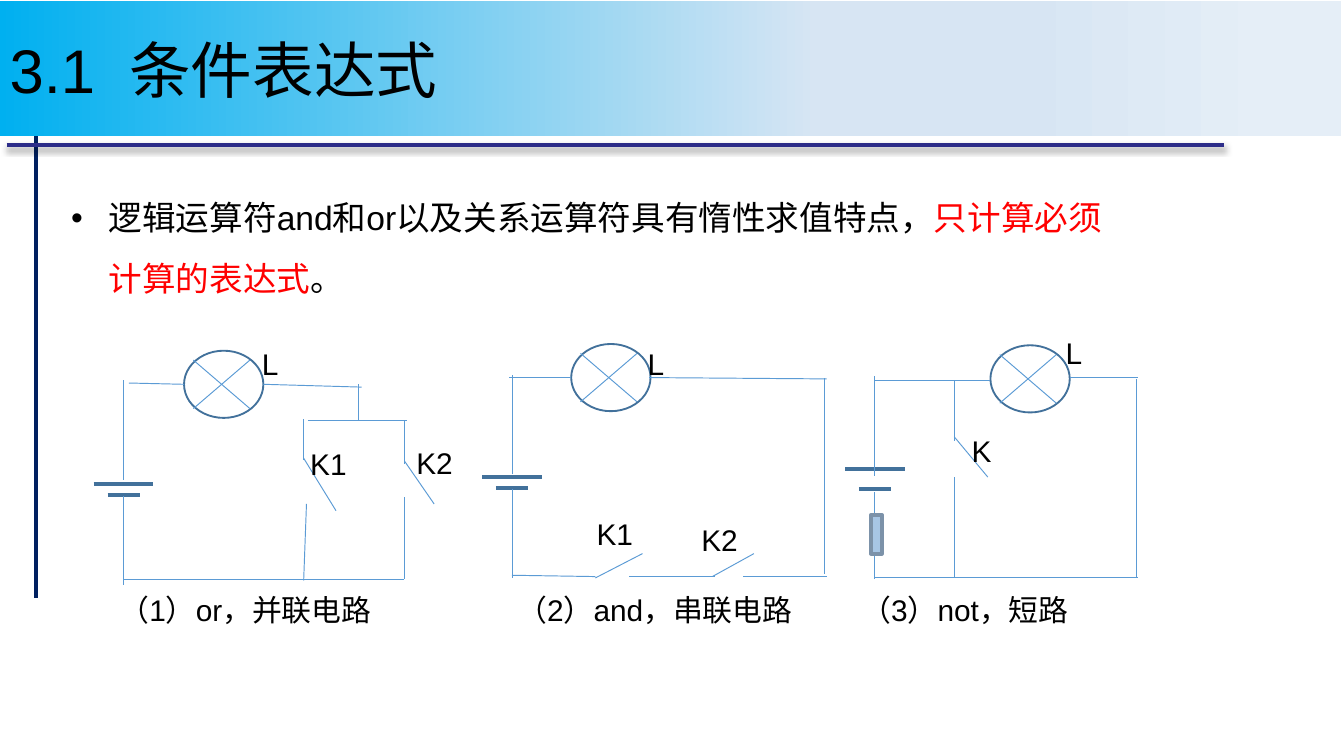
from lxml import etree
from pptx import Presentation
from pptx import util as u
from pptx.dml.color import RGBColor
from pptx.enum import shapes, text
from pptx.oxml import ns

Pt = u.Pt
HUES = {"black": "000000", "red": "FF0000", "navy": "002060", "rule": "2D2D89",
        "wire": "5B9BD5", "dark": "42719B", "box": "A7C6E5", "edge": "7C92A9",
        "sky": "00B0F0", "pale": "D7E5F3", "mist": "E5EEF7"}

deck = Presentation()
deck.slide_width, deck.slide_height = Pt(720), Pt(405)
slide = deck.slides.add_slide(deck.slide_layouts[6])
items = slide.shapes


def line(x1, y1, x2, y2, hue="wire", width=0.5):
    """Draw a straight line without a shadow and return it."""
    rule = items.add_connector(shapes.MSO_CONNECTOR.STRAIGHT, Pt(x1), Pt(y1), Pt(x2), Pt(y2))
    rule.line.color.rgb = RGBColor.from_string(HUES[hue])
    rule.line.width = Pt(width)
    etree.SubElement(rule._element.spPr, ns.qn("a:effectLst"))
    return rule


def write(shape, runs, size, inset=(7.2, 3.6), anchor=text.MSO_ANCHOR.TOP):
    """Put (words, hue) runs in a shape and return the paragraph."""
    frame = shape.text_frame
    form = {"word_wrap": True, "vertical_anchor": anchor,
            "margin_left": Pt(inset[0]), "margin_right": Pt(inset[0]),
            "margin_top": Pt(inset[1]), "margin_bottom": Pt(inset[1])}
    for key, val in form.items():
        setattr(frame, key, val)
    para = frame.paragraphs[0]
    para.alignment = text.PP_ALIGN.LEFT
    for words, hue in runs:
        run = para.add_run()
        run.text = words
        for key, val in {"name": "Arial", "size": Pt(size)}.items():
            setattr(run.font, key, val)
        run.font.color.rgb = RGBColor.from_string(HUES[hue])
    return para


# Frame rules
line(19.4, 58.3, 19.4, 320.4, "navy", 2.25)
rule = line(3.6, 77.8, 655.9, 77.8, "rule", 2.25)
glow = etree.SubElement(rule._element.spPr.find(ns.qn("a:effectLst")), ns.qn("a:outerShdw"),
                        blurRad=str(Pt(3.1)), dist=str(Pt(1.8)), dir="5400000", rotWithShape="0")
tint = etree.SubElement(glow, ns.qn("a:srgbClr"), val=HUES["black"])
etree.SubElement(tint, ns.qn("a:alpha"), val="35000")

# Body
body = items.add_textbox(Pt(31), Pt(91.4), Pt(571.7), Pt(267))
para = write(body, [("逻辑运算符and和or以及关系运算符具有惰性求值特点，", "black"),
                    ("只计算必须计算的表达式", "red"), ("。", "black")], 18)
para.line_spacing = 1.5
props = para._p.get_or_add_pPr()
props.set("marL", str(Pt(20.2)))
props.set("indent", str(Pt(-20.2)))
etree.SubElement(props, ns.qn("a:buFont"), typeface="Arial")
etree.SubElement(props, ns.qn("a:buChar"), char="•")

# Title band
band = items.add_shape(shapes.MSO_SHAPE.RECTANGLE, Pt(-0.7), Pt(0.7), Pt(719.3), Pt(72))
band.shadow.inherit = False
band.line.fill.background()
band.fill.gradient()
band.fill.gradient_angle = 180
stops = band.fill._fill._gradFill.find(ns.qn("a:gsLst"))
for stop in list(stops):
    stops.remove(stop)
for pos, hue in [(5, "mist"), (24, "pale"), (39, "pale"), (100, "sky")]:
    stop = etree.SubElement(stops, ns.qn("a:gs"), pos=str(pos * 1000))
    etree.SubElement(stop, ns.qn("a:srgbClr"), val=HUES[hue])
write(band, [("3.1  条件表达式", "black")], 33, (5.8, 2.9), text.MSO_ANCHOR.MIDDLE)

# Batteries: centre, both plates, then the ends of the upper and lower lead
for mid, long, short, top, high, low, end in [
        (66.2, 259.2, 265, 203.8, 257, 265.7, 313.2),
        (274.3, 255.6, 261.4, 200.9, 254.2, 262.1, 309.6),
        (468.7, 251.3, 262.1, 201.6, 254.9, 263.5, 310.3)]:
    for half, y in [(16, long), (8.6, short)]:
        line(mid - half, y, mid + half, y, "dark", 2.25)
    line(mid, high, mid, top)
    line(mid, low, mid, end)

# Lamps
for x, y in [(98.6, 187.9), (306, 184.3), (530.6, 185)]:
    lamp = items.add_shape(shapes.MSO_SHAPE.OVAL, Pt(x), Pt(y), Pt(42.5), Pt(36))
    lamp.shadow.inherit = False
    lamp.fill.background()
    lamp.line.color.rgb = RGBColor.from_string(HUES["dark"])
    lamp.line.width = Pt(1)
    line(x + 5, y + 5, x + 35.3, y + 31)
    line(x + 35.3, y + 5, x + 5, y + 31)

# Wires and switches
loops = {
    "or": [(69.1, 205.2, 98.6, 205.9), (141.1, 205.9, 193.7, 207.4),
           (192.2, 205.9, 192.2, 225.4), (164.9, 225.4, 218.2, 225.4),
           (162.7, 224.6, 162.7, 246.2), (216.7, 225.4, 216.7, 248.4),
           (162.7, 245.5, 180, 273.6), (216.7, 247, 232.6, 270),
           (164.2, 270, 162.7, 311), (216.7, 266.4, 216.7, 310.3),
           (66.2, 310.3, 216.7, 310.3)],
    "and": [(272.9, 202.3, 306, 202.3), (347.8, 202.3, 442.8, 203),
            (274.3, 308.2, 319, 308.9), (319, 309.6, 344.2, 296.6),
            (337, 308.9, 383, 308.9), (381.6, 308.9, 403.9, 296.6),
            (398.2, 308.9, 442.8, 308.9), (441.7, 307.4, 441.7, 202.3)],
    "not": [(468.7, 203.8, 530.6, 203.8), (573.1, 202.3, 609.8, 202.3),
            (468.7, 309.6, 609.8, 309.6), (609.1, 308.9, 609.1, 203),
            (511.2, 203.8, 511.2, 236.2), (511.2, 255.6, 511.2, 309.6),
            (511.2, 234, 529.2, 255.6)],
}
for wires in loops.values():
    for ends in wires:
        line(*ends)

# Labels, grouped by box size and inset
for wide, tall, inset, marks in [
        (34.6, 18, (7.2, 0), [("L", 133.2, 185), ("L", 339.8, 185), ("L", 563.8, 179.3)]),
        (42.5, 27.4, (7.2, 3.6), [("K1", 159.1, 235.4), ("K2", 216, 234.7), ("K1", 312.5, 272.9),
                                  ("K2", 368.6, 275.8), ("K", 513.4, 228.2)]),
        (159.1, 20.9, (0, 0), [("（1）or，并联电路", 64.1, 316.8),
                               ("（2）and，串联电路", 277.2, 316.8)]),
        (139, 20.9, (0, 0), [("（3）not，短路", 461.5, 316.8)])]:
    for words, x, y in marks:
        write(items.add_textbox(Pt(x), Pt(y), Pt(wide), Pt(tall)), [(words, "black")], 16, inset)

# Resistor
part = items.add_shape(shapes.MSO_SHAPE.RECTANGLE, Pt(466.6), Pt(275.8), Pt(5.8), Pt(20.9))
part.shadow.inherit = False
part.fill.solid()
part.fill.fore_color.rgb = RGBColor.from_string(HUES["box"])
part.line.color.rgb = RGBColor.from_string(HUES["edge"])
part.line.width = Pt(2)

deck.save("out.pptx")
